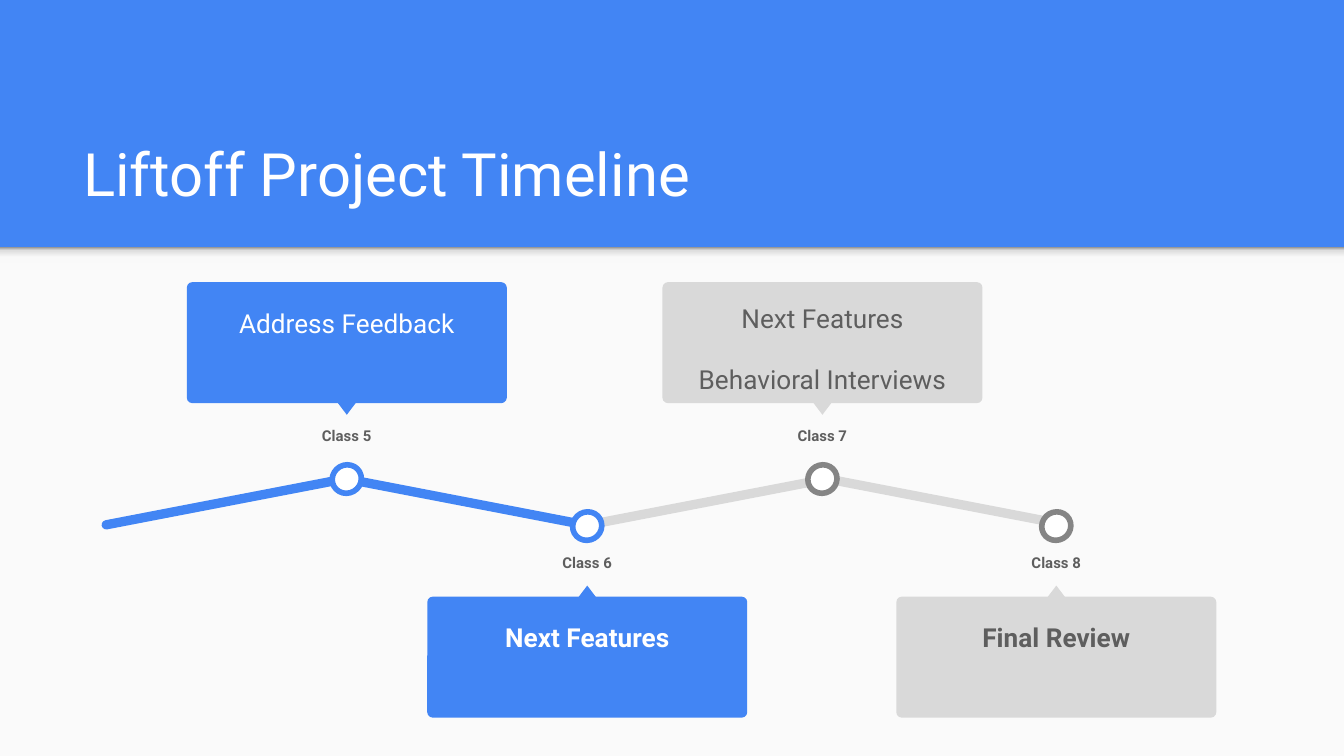
from copy import deepcopy

from pptx import Presentation
from pptx.dml.color import RGBColor
from pptx.enum.shapes import MSO_SHAPE as Shape
from pptx.enum.text import MSO_ANCHOR as Anchor, PP_ALIGN as Align
from pptx.oxml.ns import qn
from pptx.util import Pt

# Content: milestone centre, centre of the segment leading to it, card lines
TITLE = "Liftoff Project Timeline"
MILESTONES = [
    {"label": "Class 5", "x": 185.8, "segment_x": 120.6, "above": True,
     "done": True, "bold": False, "lines": ["Address Feedback"]},
    {"label": "Class 6", "x": 314.6, "segment_x": 249.5, "above": False,
     "done": True, "bold": True, "lines": ["Next Features"]},
    {"label": "Class 7", "x": 440.6, "segment_x": 379.1, "above": True,
     "done": False, "bold": False,
     "lines": ["Next Features", "Behavioral Interviews"]},
    {"label": "Class 8", "x": 565.9, "segment_x": 507.2, "above": False,
     "done": False, "bold": True, "lines": ["Final Review"]},
]

THEME = {
    "font": "Roboto", "title_size": 32, "card_size": 14, "label_size": 8,
    "blue": "4285F4", "grey": "D9D9D9", "ring": "858585", "text": "5E5E5E",
    "white": "FFFFFF", "panel": "FAFAFA",
    "shade": [(0, "F9F9F9"), (0.36, "F9F9F9"), (0.8, "DEDEDE"), (1, "999999")],
}

# Geometry in points
SLIDE_W, SLIDE_H, BAND_H = 720, 405, 132.5
SEGMENT_W, SEGMENT_H, SEGMENT_Y, SLOPE = 134.6, 5, 268.9, 10.9
DOT_W, DOT_H, DOT_TILT = 15.8, 15.1, -29.8
LABEL_W, LABEL_H = 69.8, 25.2
CARD_W, CARD_H, CARD_PAD = 171.4, 64.8, 4.3
POINTER_W, POINTER_H = 9.4, 6.2
TOPS = {
    True: {"card": 151.2, "pointer": 216, "label": 221.8, "dot": 249.1},
    False: {"card": 319.7, "pointer": 313.7, "label": 289.4, "dot": 274.3},
}


def rgb(name):
    return RGBColor.from_string(THEME.get(name, name))


def apply(target, values):
    for attribute, value in values.items():
        setattr(target, attribute, value)


def style_font(font, size, color, bold=False):
    apply(font, {"name": THEME["font"], "size": Pt(THEME[size]), "bold": bold})
    font.color.rgb = rgb(color)


def style_frame(frame, anchor):
    apply(frame, {"word_wrap": True, "vertical_anchor": anchor,
                  **{f"margin_{side}": Pt(7.2)
                     for side in ("left", "right", "top", "bottom")}})


def add_block(shapes, kind, box, fill, rotation=0, corner=None):
    block = shapes.add_shape(kind, *map(Pt, box))
    block.shadow.inherit = False
    block.fill.solid()
    block.fill.fore_color.rgb = rgb(fill)
    block.line.fill.background()
    block.rotation = rotation
    if corner is not None:
        block.adjustments[0] = corner
    return block


def add_text(shapes, box, lines, size, color, bold):
    frame = shapes.add_textbox(*map(Pt, box)).text_frame
    style_frame(frame, Anchor.TOP)
    frame.text = "\n".join(lines)
    for paragraph in frame.paragraphs:
        paragraph.alignment = Align.CENTER
        style_font(paragraph.font, size, color, bold)
    if len(lines) == 1:
        frame.paragraphs[0].line_spacing = 1.15
    for paragraph in frame.paragraphs[1:]:
        paragraph.space_before = Pt(16)
    frame.paragraphs[-1].space_after = Pt(16)


def add_segment(shapes, milestone):
    add_block(shapes, Shape.ROUNDED_RECTANGLE,
              (milestone["segment_x"] - SEGMENT_W / 2, SEGMENT_Y - SEGMENT_H / 2,
               SEGMENT_W, SEGMENT_H),
              "blue" if milestone["done"] else "grey",
              -SLOPE if milestone["above"] else SLOPE, 0.5)


def add_milestone(shapes, milestone):
    x, above, done = (milestone[key] for key in ("x", "above", "done"))
    tops = TOPS[above]
    fill = "blue" if done else "grey"
    dot = add_block(shapes, Shape.OVAL,
                    (x - DOT_W / 2, tops["dot"], DOT_W, DOT_H), "white", DOT_TILT)
    dot.line.color.rgb = rgb("blue" if done else "ring")
    dot.line.width = Pt(3)
    add_text(shapes, (x - LABEL_W / 2, tops["label"], LABEL_W, LABEL_H),
             [milestone["label"]], "label_size", "text", True)
    add_block(shapes, Shape.ROUNDED_RECTANGLE,
              (x - CARD_W / 2, tops["card"], CARD_W, CARD_H), fill, corner=0.045)
    add_block(shapes, Shape.ISOSCELES_TRIANGLE,
              (x - POINTER_W / 2, tops["pointer"], POINTER_W, POINTER_H),
              fill, 180 if above else 0)
    add_text(shapes, (x - CARD_W / 2 + CARD_PAD, tops["card"] + CARD_PAD - 0.7,
                      CARD_W - 2 * CARD_PAD, CARD_H - 2 * CARD_PAD + 1.4),
             milestone["lines"], "card_size", "white" if done else "text",
             milestone["bold"])


def main():
    deck = Presentation()
    apply(deck, {"slide_width": Pt(SLIDE_W), "slide_height": Pt(SLIDE_H)})
    slide = deck.slides.add_slide(deck.slide_layouts[5])
    slide.background.fill.solid()
    slide.background.fill.fore_color.rgb = rgb("blue")

    # Light panel with a soft shade under the title band
    add_block(slide.shapes, Shape.RECTANGLE,
              (0, BAND_H, SLIDE_W, SLIDE_H - BAND_H), "panel")
    shade = add_block(slide.shapes, Shape.RECTANGLE,
                      (0, BAND_H, SLIDE_W, 8.6), "panel")
    shade.fill.gradient()
    shade.fill.gradient_angle = 90
    stop_list = next(shade.element.iter(qn("a:gsLst")))
    for stop in list(stop_list):
        stop_list.append(deepcopy(stop))
    for stop, (position, color) in zip(shade.fill.gradient_stops, THEME["shade"]):
        stop.position = position
        stop.color.rgb = rgb(color)

    # Title
    title = slide.shapes.title
    apply(title, {"left": Pt(37.4), "top": Pt(58.3),
                  "width": Pt(647.3), "height": Pt(60.5)})
    style_frame(title.text_frame, Anchor.BOTTOM)
    title.text_frame.text = TITLE
    heading = title.text_frame.paragraphs[0]
    heading.alignment = Align.LEFT
    style_font(heading.font, "title_size", "white")

    # Timeline: later parts lie behind earlier ones
    for milestone in reversed(MILESTONES):
        add_segment(slide.shapes, milestone)
    for milestone in reversed(MILESTONES):
        add_milestone(slide.shapes.add_group_shape().shapes, milestone)

    deck.save("out.pptx")


if __name__ == "__main__":
    main()
